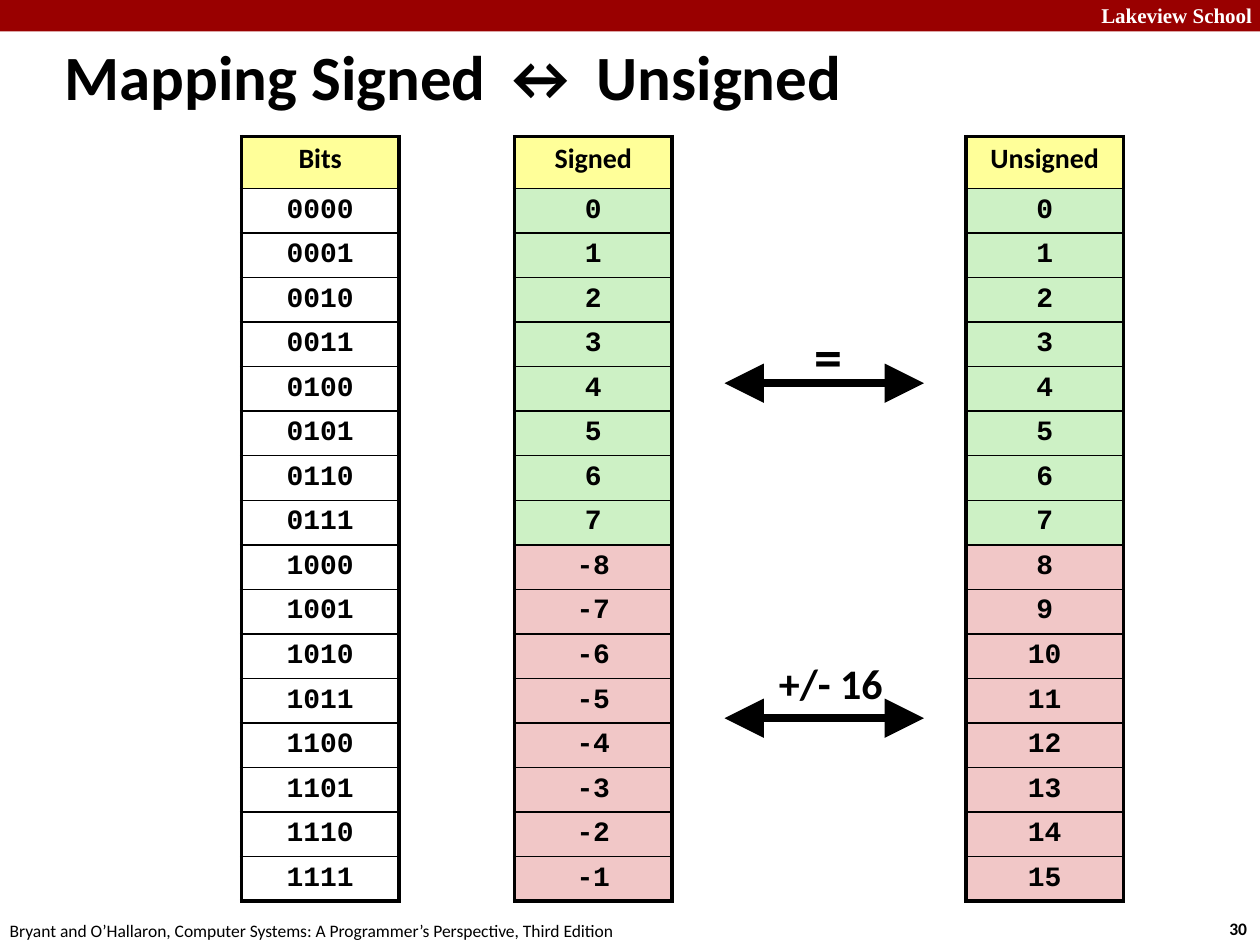
from dataclasses import dataclass, field

import pptx
import pptx.dml.color
import pptx.enum.shapes
import pptx.enum.text
import pptx.oxml
import pptx.oxml.ns
import pptx.util

COLUMNS, ROWS = 120, 90  # square grid over the whole slide
GRID = pptx.util.Inches(10) // COLUMNS
BLACK, WHITE, RED = "000000", "FFFFFF", "990000"
YELLOW, GREEN, PINK = "FFFF99", "CDF1C5", "F1C7C7"
TABLE_TOP, TABLE_WIDTH, TABLE_HEIGHT = 13, 15, 73.4
HEADER_HEIGHT, ROW_HEIGHT = 4.95, 4
CELL_INSET = 0.6
THICK, THIN = 2.25, 1
Anchor = pptx.enum.text.MSO_ANCHOR
Align = pptx.enum.text.PP_ALIGN
Fit = pptx.enum.text.MSO_AUTO_SIZE


@dataclass
class Label:
    text: str
    area: tuple[float, float, float, float]
    size: float
    font: str = "Calibri"
    color: str = BLACK
    bold: bool = True
    align: Align | None = None
    inset: tuple[float, float] = (1.2, 0.6)
    frame: dict = field(default_factory=dict)


@dataclass
class NumberColumn:
    heading: str
    left: float
    values: list[str]
    fills: tuple[str | None, str | None]


@dataclass
class Relation:
    row: float
    label: Label


CENTERED = {"align": Align.CENTER, "inset": (CELL_INSET, CELL_INSET)}
FITTED = {"auto_size": Fit.SHAPE_TO_FIT_TEXT}

TITLE = Label("Mapping Signed ↔ Unsigned", (5.3, 3.2, 89.5, 7.3), 36,
              align=Align.LEFT, inset=(0.84, 0.36),
              frame={"vertical_anchor": Anchor.TOP, **FITTED})
MARGIN_LABELS = [
    Label("Lakeview School", (103.7, -0.36, 17.2, 3.6), 12, "Times New Roman",
          WHITE, frame={"word_wrap": True, **FITTED}),
    Label("30", (115.9, 86.8, 4.4, 3.2), 10, frame=FITTED),
    Label("Bryant and O’Hallaron, Computer Systems: A Programmer’s Perspective, "
          "Third Edition", (-0.25, 87, 61, 3.2), 10, bold=False, frame=FITTED),
]
NUMBER_COLUMNS = [
    NumberColumn("Signed", 49, [str(n) for n in (*range(8), *range(-8, 0))],
                 (GREEN, PINK)),
    NumberColumn("Unsigned", 92, [str(n) for n in range(16)], (GREEN, PINK)),
    NumberColumn("Bits", 23, [f"{n:04b}" for n in range(16)], (None, None)),
]
RELATIONS = [
    Relation(36.5, Label("=", (77, 30, 3.8, 7.7), 32, frame=FITTED, **CENTERED)),
    Relation(68.4, Label("+/- 16", (73, 62, 13, 6.1), 24,
                         frame={"vertical_anchor": Anchor.MIDDLE, "word_wrap": True})),
]


def grid(*lengths: float) -> list[pptx.util.Emu]:
    return [pptx.util.Emu(round(length * GRID)) for length in lengths]


def rgb(color: str) -> pptx.dml.color.RGBColor:
    return pptx.dml.color.RGBColor.from_string(color)


def set_all(target, values: dict) -> None:
    for name, value in values.items():
        setattr(target, name, value)


def element(xml: str):
    """Parse one DrawingML element, written with the prefix a."""
    tag, rest = xml[:-2].split(" ", 1) if " " in xml else (xml[:-2], "")
    return pptx.oxml.parse_xml(f'{tag} {pptx.oxml.ns.nsdecls("a")} {rest}/>')


def write(frame, label: Label):
    """Fill a text frame with one formatted paragraph and return it."""
    across, down = grid(*label.inset)
    set_all(frame, {"word_wrap": False, "margin_left": across, "margin_right": across,
                    "margin_top": down, "margin_bottom": down, **label.frame})
    para = frame.paragraphs[0]
    para.alignment = label.align
    span = para.add_run()
    span.text = label.text
    set_all(span.font, {"name": label.font, "size": pptx.util.Pt(label.size),
                        "bold": label.bold})
    span.font.color.rgb = rgb(label.color)
    return para


def add_label(shapes, label: Label) -> None:
    write(shapes.add_textbox(*grid(*label.area)).text_frame, label)


def add_title(page) -> None:
    title = page.shapes.title
    set_all(title, dict(zip(("left", "top", "width", "height"), grid(*TITLE.area))))
    para = write(title.text_frame, TITLE)
    hanging = grid(1.6)[0]
    para._p.get_or_add_pPr().set("marL", str(hanging))
    para._p.get_or_add_pPr().set("indent", str(-hanging))


def set_borders(cell, widths: dict[str, float]) -> None:
    properties = cell._tc.get_or_add_tcPr()
    for place, (side, width) in enumerate(widths.items()):
        border = element(f'<a:ln{side} w="{pptx.util.Pt(width)}"/>')
        solid = element("<a:solidFill/>")
        solid.append(element(f'<a:srgbClr val="{BLACK}"/>'))
        border.append(solid)
        properties.insert(place, border)


def fill_cell(cell, text: str, font: str, color: str | None) -> None:
    para = write(cell.text_frame, Label(text, (0, 0, 0, 0), 16, font,
                                        frame={"word_wrap": True}, **CENTERED))
    para.line_spacing = 0.95
    para.space_before = pptx.util.Pt(0)
    before = para._p.pPr.find(pptx.oxml.ns.qn("a:spcBef"))
    before.replace(before[0], element('<a:spcPct val="50000"/>'))
    inset = grid(CELL_INSET)[0]
    set_all(cell, {f"margin_{side}": inset for side in ("left", "top", "right", "bottom")})
    if color:
        cell.fill.solid()
        cell.fill.fore_color.rgb = rgb(color)
    else:
        cell.fill.background()


def add_number_column(page, column: NumberColumn) -> None:
    count = len(column.values)
    holder = page.shapes.add_table(
        count + 1, 1, *grid(column.left, TABLE_TOP, TABLE_WIDTH, TABLE_HEIGHT))
    table = holder.table
    set_all(table, {"first_row": False, "horz_banding": False})
    for index, text in enumerate([column.heading, *column.values]):
        heading = index == 0
        table.rows[index].height = grid(HEADER_HEIGHT if heading else ROW_HEIGHT)[0]
        cell = table.cell(index, 0)
        color = YELLOW if heading else column.fills[index > count // 2]
        fill_cell(cell, text, "Calibri" if heading else "Courier New", color)
        set_borders(cell, {"L": THICK, "R": THICK, "T": THICK if heading else THIN,
                           "B": THICK if index == count else THIN})
    holder.height = grid(TABLE_HEIGHT)[0]


def add_relation(page, relation: Relation) -> None:
    """Draw a double-headed arrow grouped with its label."""
    group = page.shapes.add_group_shape()
    arrow = group.shapes.add_connector(
        pptx.enum.shapes.MSO_CONNECTOR.STRAIGHT,
        *grid(88, relation.row, 69, relation.row))
    arrow.line.width = pptx.util.Pt(4.5)
    arrow.line.color.rgb = rgb(BLACK)
    for end in ("head", "tail"):
        arrow.line._get_or_add_ln().append(
            element(f'<a:{end}End type="triangle" w="lg" len="lg"/>'))
    arrow._element.spPr.append(element("<a:effectLst/>"))
    add_label(group.shapes, relation.label)


def add_banner(page) -> None:
    banner = page.shapes.add_shape(
        pptx.enum.shapes.MSO_SHAPE.RECTANGLE, *grid(0, 0, COLUMNS, 3))
    banner.shadow.inherit = False
    banner.fill.solid()
    banner.fill.fore_color.rgb = rgb(RED)
    banner.line.fill.background()


def main() -> None:
    deck = pptx.Presentation()
    deck.slide_width, deck.slide_height = grid(COLUMNS, ROWS)
    page = deck.slides.add_slide(deck.slide_layouts.get_by_name("Title Only"))
    add_banner(page)
    for label in MARGIN_LABELS:
        add_label(page.shapes, label)
    add_title(page)
    for column in NUMBER_COLUMNS:
        add_number_column(page, column)
    for relation in RELATIONS:
        add_relation(page, relation)
    deck.save("out.pptx")


if __name__ == "__main__":
    main()
